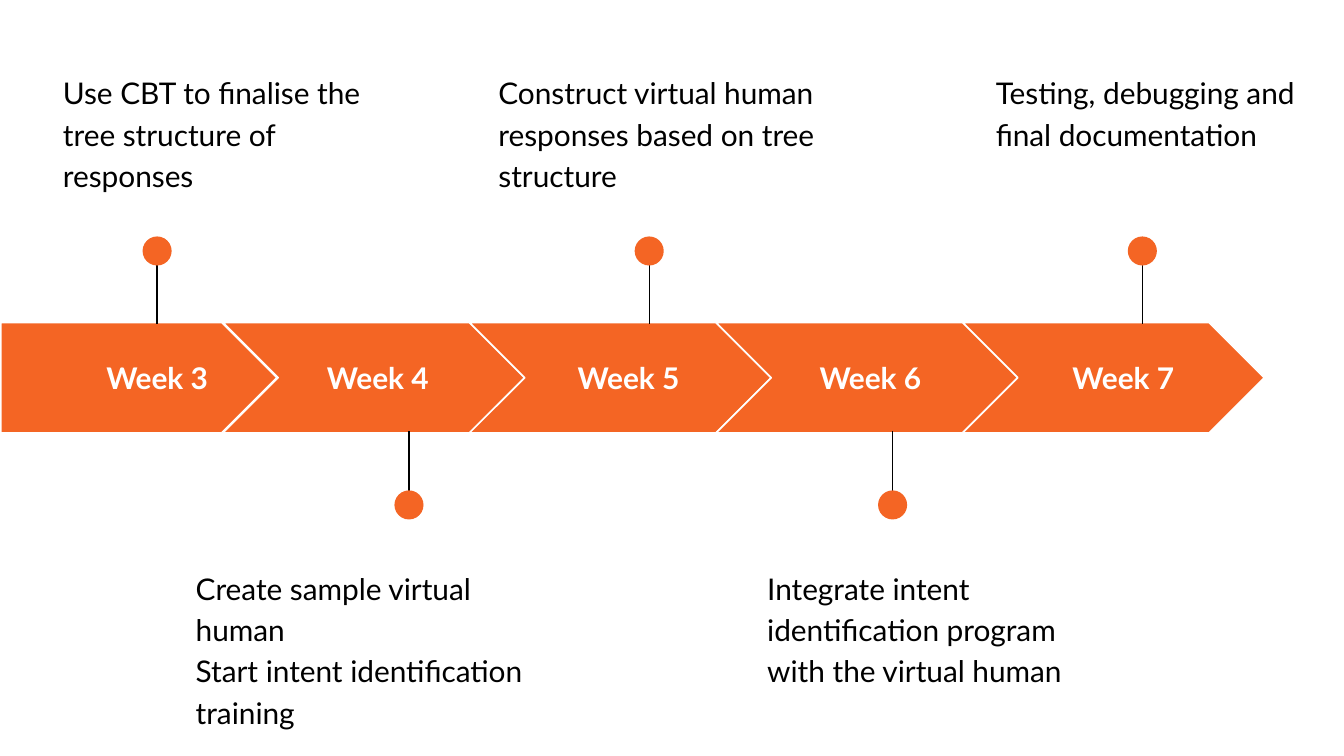
from pptx import Presentation
from pptx.dml.color import RGBColor
from pptx.enum.shapes import MSO_CONNECTOR, MSO_SHAPE
from pptx.enum.text import MSO_ANCHOR, PP_ALIGN
from pptx.oxml.ns import qn
from pptx.util import Cm, Pt
from lxml.etree import SubElement

ORANGE = RGBColor(0xF4, 0x65, 0x24)
WHITE = RGBColor(0xFF, 0xFF, 0xFF)
BLACK = RGBColor(0x00, 0x00, 0x00)
FONT = "Lato"

# week, label centre, pin centre, note left, note width, note paragraphs (cm)
MILESTONES = [
    ("Week 3", 2.97, 2.97, 0.94, 6.22,
     ["Use CBT to finalise the tree structure of responses"]),
    ("Week 4", 7.14, 7.73, 3.45, 6.81,
     ["Create sample virtual human", "Start intent identification training"]),
    ("Week 5", 11.88, 12.27, 9.17, 6.81,
     ["Construct virtual human responses based on tree structure"]),
    ("Week 6", 16.45, 16.87, 14.25, 6.22,
     ["Integrate intent identification program with the virtual human"]),
    ("Week 7", 21.23, 21.59, 18.57, 6.22,
     ["Testing, debugging and final documentation"]),
]

ARROW_TOP, ARROW_HEIGHT = 6.1, 2.08
FIRST_LEFT, FIRST_WIDTH = 0.02, 5.21
CHEVRON_LEFT, CHEVRON_WIDTH, CHEVRON_PITCH = 4.22, 5.69, 4.66
LABEL_WIDTH, LABEL_HEIGHT = 3.66, 1.3
DOT = 0.55
# Dot top, stem outer end, stem arrow end, note top
ABOVE = (4.47, 4.57, 6.12, 1.07)
BELOW = (9.27, 9.7, 8.15, 10.44)
NOTE_HEIGHT = 2.51


def add_solid(page, kind, left, top, width, height):
    shape = page.shapes.add_shape(kind, Cm(left), Cm(top), Cm(width), Cm(height))
    shape.shadow.inherit = False
    shape.fill.solid()
    shape.fill.fore_color.rgb = ORANGE
    return shape


def add_arrow(page, index):
    if index == 0:
        kind, left, width = MSO_SHAPE.PENTAGON, FIRST_LEFT, FIRST_WIDTH
    else:
        kind, width = MSO_SHAPE.CHEVRON, CHEVRON_WIDTH
        left = CHEVRON_LEFT + (index - 1) * CHEVRON_PITCH
    arrow = add_solid(page, kind, left, ARROW_TOP, width, ARROW_HEIGHT)
    arrow.adjustments[0] = 0.5
    arrow.line.color.rgb = WHITE
    arrow.line.width = Pt(0.75)


def add_text(page, left, top, width, height, lines, color, bold=False,
             align=PP_ALIGN.LEFT, anchor=MSO_ANCHOR.TOP, spacing=1.0):
    box = page.shapes.add_textbox(Cm(left), Cm(top), Cm(width), Cm(height))
    frame = box.text_frame
    frame.word_wrap = True
    frame.vertical_anchor = anchor
    frame.margin_left = frame.margin_right = Cm(0.25)
    frame.margin_top = frame.margin_bottom = Cm(0.25)
    for number, line in enumerate(lines):
        para = frame.add_paragraph() if number else frame.paragraphs[0]
        para.alignment = align
        para.line_spacing = spacing
        span = para.add_run()
        span.text = line
        span.font.name = FONT
        span.font.size = Pt(16)
        span.font.bold = bold
        span.font.color.rgb = color


def add_pin(page, center, dot_top, outer, inner):
    stem = page.shapes.add_connector(
        MSO_CONNECTOR.STRAIGHT, Cm(center), Cm(outer), Cm(center), Cm(inner))
    stem.line.color.rgb = BLACK
    stem.line.width = Pt(0.75)
    SubElement(stem._element.spPr, qn("a:effectLst"))
    dot = add_solid(page, MSO_SHAPE.OVAL, center - DOT / 2, dot_top, DOT, DOT)
    dot.line.fill.background()


def main():
    deck = Presentation()
    deck.slide_width, deck.slide_height = Cm(25.4), Cm(14.29)
    page = deck.slides.add_slide(deck.slide_layouts[6])
    label_top = ARROW_TOP + (ARROW_HEIGHT - LABEL_HEIGHT) / 2

    for index, milestone in enumerate(MILESTONES):
        week, label_center, pin_center, note_left, note_width, note = milestone
        dot_top, outer, inner, note_top = BELOW if index % 2 else ABOVE
        add_arrow(page, index)
        add_text(page, label_center - LABEL_WIDTH / 2, label_top,
                 LABEL_WIDTH, LABEL_HEIGHT, [week], WHITE, bold=True,
                 align=PP_ALIGN.CENTER, anchor=MSO_ANCHOR.MIDDLE)
        add_pin(page, pin_center, dot_top, outer, inner)
        add_text(page, note_left, note_top, note_width, NOTE_HEIGHT,
                 note, BLACK, spacing=1.15)

    deck.save("out.pptx")


if __name__ == "__main__":
    main()
